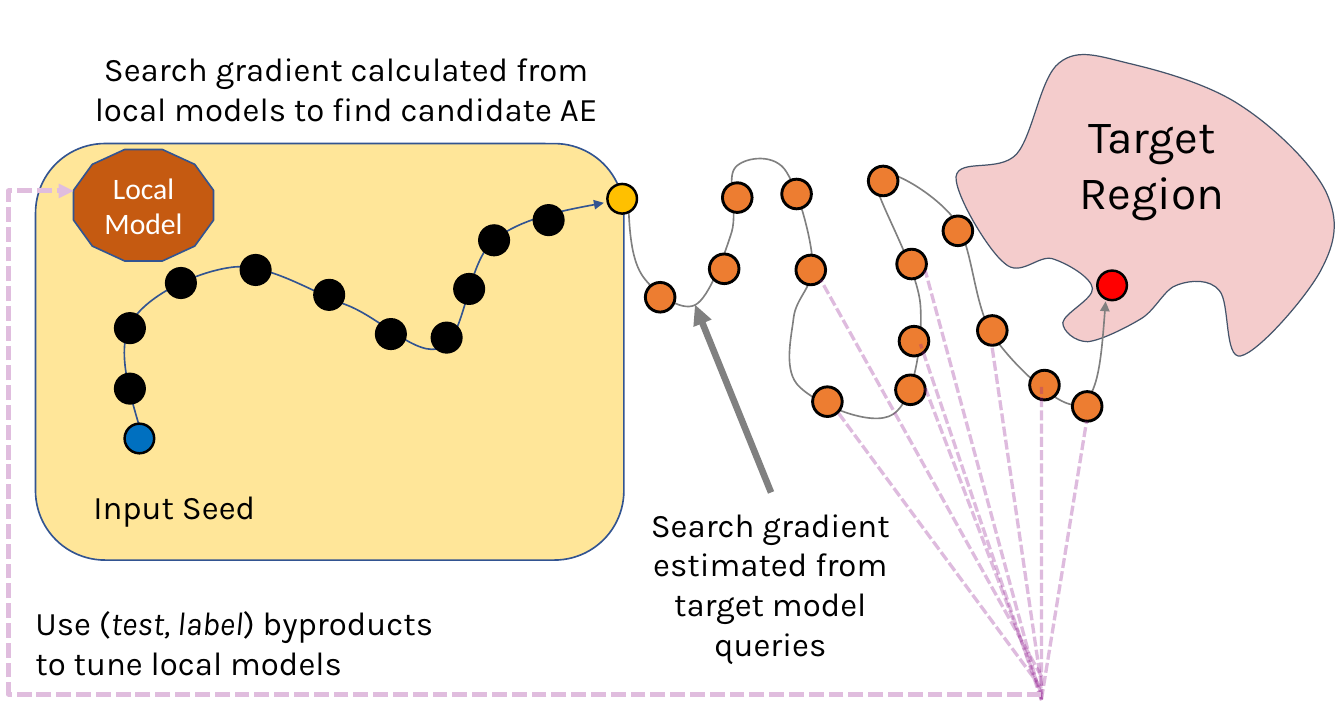
from lxml import etree
from pptx import Presentation
from pptx.dml.color import RGBColor
from pptx.enum.dml import MSO_LINE
from pptx.enum.shapes import MSO_CONNECTOR, MSO_SHAPE
from pptx.enum.text import MSO_ANCHOR, PP_ALIGN
from pptx.oxml.ns import qn
from pptx.util import Inches, Pt

STRAIGHT, ELBOW = MSO_CONNECTOR.STRAIGHT, MSO_CONNECTOR.ELBOW
OVAL, ROUNDED, DODECAGON = MSO_SHAPE.OVAL, MSO_SHAPE.ROUNDED_RECTANGLE, MSO_SHAPE.DODECAGON
LEFT, CENTER = PP_ALIGN.LEFT, PP_ALIGN.CENTER
TOP, MIDDLE = MSO_ANCHOR.TOP, MSO_ANCHOR.MIDDLE
DASH = MSO_LINE.SQUARE_DOT
COLORS = {
    "panel": "FFE699", "navy": "325491", "region": "F4CCCC", "slate": "44546A",
    "black": "000000", "white": "FFFFFF", "goal": "FF0000", "query": "ED7D31",
    "seed": "0070C0", "candidate": "FFC000", "model": "C55A11", "gray": "808080",
    "trace": "942092", "loop": "E0BDDE",
}
DOT = 0.25


def rgb(name):
    return RGBColor.from_string(COLORS[name])


def set_all(target, values):
    for name, value in values.items():
        setattr(target, name, value)


def style_line(part, color, width, arrow=False, dash=None, opacity=None):
    part.line.color.rgb = rgb(color)
    set_all(part.line, {"width": Pt(width), "dash_style": dash})
    ln = part.line._get_or_add_ln()
    if opacity:
        tint = ln.find(".//" + qn("a:srgbClr"))
        etree.SubElement(tint, qn("a:alpha"), val=str(opacity * 1000))
    if arrow:
        etree.SubElement(ln, qn("a:tailEnd"), type="triangle")


def style_fill(part, color):
    part.shadow.inherit = False
    if color:
        part.fill.solid()
        part.fill.fore_color.rgb = rgb(color)
    else:
        part.fill.background()


def add_preset(slide, box, kind, place, fill, outline, width):
    left, top, wide, high = place
    part = slide.shapes.add_shape(
        kind, Inches(box[0] + left), Inches(box[1] + top), Inches(wide), Inches(high))
    style_fill(part, fill)
    style_line(part, outline, width)
    return part


def add_dots(slide, box, corners, fill, width=1.5):
    for corner in corners:
        add_preset(slide, box, OVAL, (*corner, DOT, DOT), fill, "black", width)


def write(frame, pieces, size, font="Karla", color="black", align=CENTER,
          anchor=TOP, inset=0.1):
    set_all(frame, {
        "word_wrap": True, "vertical_anchor": anchor,
        "margin_left": Inches(0.1), "margin_right": Inches(0.1),
        "margin_top": Inches(inset), "margin_bottom": Inches(inset)})
    paragraph = frame.paragraphs[0]
    paragraph.alignment = align
    for words, italic in pieces:
        run = paragraph.add_run()
        run.text = words
        set_all(run.font, {"size": Pt(size), "name": font, "italic": italic})
        run.font.color.rgb = rgb(color)


def add_label(slide, box, place, pieces, size=20, **layout):
    left, top, wide, high = place
    label = slide.shapes.add_textbox(
        Inches(box[0] + left), Inches(box[1] + top), Inches(wide), Inches(high))
    write(label.text_frame, pieces, size, **layout)


def add_link(slide, box, start, end, kind=STRAIGHT, **look):
    ends = [Inches(origin + offset) for point in (start, end)
            for origin, offset in zip(box, point)]
    link = slide.shapes.add_connector(kind, *ends)
    style_line(link, **look)
    etree.SubElement(link._element.spPr, qn("a:effectLst"))
    return link


def add_curve(slide, box, knots, fill=None, close=False, **look):
    points = [(Inches(box[0] + x), Inches(box[1] + y)) for x, y in knots]
    builder = slide.shapes.build_freeform(*points[0])
    builder.add_line_segments(points[1:], close=close)
    curve = builder.convert_to_shape()
    steps = list(curve._element.iter(qn("a:lnTo")))
    for first in range(0, len(steps), 3):
        bezier = etree.Element(qn("a:cubicBezTo"))
        steps[first].addprevious(bezier)
        for step in steps[first:first + 3]:
            bezier.append(step[0])
            step.getparent().remove(step)
    style_fill(curve, fill)
    style_line(curve, **look)


def target_region(slide, box):
    border = [
        (1.49, 0.09), (1.23, 0.03), (1.04, -0.05), (0.88, 0.08),
        (0.72, 0.2), (0.66, 0.69), (0.52, 0.85), (0.37, 1.01), (0.03, 0.88), (0.01, 1.04),
        (0, 1.19), (0.28, 1.66), (0.42, 1.77), (0.55, 1.89), (0.7, 1.7), (0.82, 1.73),
        (0.95, 1.77), (1.15, 1.89), (1.16, 1.98), (1.17, 2.07), (0.92, 2.19), (0.91, 2.27),
        (0.91, 2.34), (1.01, 2.43), (1.12, 2.43), (1.23, 2.42), (1.45, 2.31), (1.58, 2.23),
        (1.7, 2.15), (1.77, 1.98), (1.88, 1.95), (1.99, 1.91), (2.15, 1.9), (2.23, 2),
        (2.32, 2.1), (2.27, 2.58), (2.41, 2.55), (2.56, 2.52), (2.97, 2.05), (3.09, 1.82),
        (3.21, 1.59), (3.24, 1.41), (3.13, 1.17), (3.02, 0.94), (2.69, 0.62), (2.41, 0.44),
        (2.14, 0.26), (1.74, 0.15), (1.49, 0.09)]
    add_curve(slide, box, border, "region", True, color="slate", width=0.75)
    add_label(slide, box, (0.79, 0.35, 1.74, 1.15), [("Target Region", False)], 28,
              anchor=MIDDLE)
    add_dots(slide, box, [(1.2, 1.83)], "goal")


def query_search(slide, box):
    route = [
        (0, 0.48), (0.01, 0.69), (0.03, 0.9), (0.12, 1.03),
        (0.22, 1.17), (0.44, 1.33), (0.56, 1.27), (0.68, 1.21), (0.81, 0.84), (0.87, 0.65),
        (0.92, 0.46), (0.82, 0.2), (0.9, 0.11), (0.97, 0.03), (1.2, -0.01), (1.31, 0.12),
        (1.42, 0.26), (1.54, 0.7), (1.55, 0.91), (1.57, 1.11), (1.41, 1.2), (1.39, 1.38),
        (1.37, 1.55), (1.3, 1.83), (1.44, 1.96), (1.58, 2.1), (2.05, 2.31), (2.23, 2.19),
        (2.4, 2.08), (2.48, 1.61), (2.46, 1.28), (2.44, 0.94), (2.04, 0.31), (2.08, 0.19),
        (2.13, 0.06), (2.57, 0.32), (2.74, 0.54), (2.91, 0.77), (2.9, 1.28), (3.08, 1.54),
        (3.26, 1.8), (3.65, 2.16), (3.8, 2.11), (3.96, 2.06), (3.99, 1.65), (4.02, 1.24)]
    queries = [
        (0.14, 1.08), (0.68, 0.84), (0.79, 0.24), (1.29, 0.21), (1.41, 0.85),
        (1.55, 1.96), (2.25, 1.86), (2.28, 1.45), (2.26, 0.8), (2.02, 0.1),
        (2.65, 0.52), (2.94, 1.36), (3.38, 1.82), (3.74, 2)]
    add_curve(slide, box, route, color="gray", width=1, arrow=True)
    add_dots(slide, box, queries, "query", 1.75)
    add_label(slide, box, (0.01, 2.85, 2.37, 1.52),
              [("Search gradient estimated from target model queries", False)])
    add_link(slide, box, (1.2, 2.85), (0.56, 1.27), color="gray", width=4, arrow=True)


def local_search(slide, box):
    route = [
        (0.88, 2.4), (0.78, 2.06), (0.68, 1.72), (0.81, 1.5),
        (0.95, 1.27), (1.38, 1.07), (1.68, 1.04), (1.98, 1.02), (2.33, 1.25), (2.62, 1.36),
        (2.91, 1.47), (3.22, 1.81), (3.42, 1.72), (3.63, 1.63), (3.63, 1.02), (3.86, 0.82),
        (4.09, 0.62), (4.79, 0.5), (4.79, 0.5)]
    steps = [
        (0.67, 1.94), (0.67, 1.43), (1.1, 1.05), (1.73, 0.94), (2.35, 1.15),
        (2.87, 1.48), (3.34, 1.51), (3.53, 1.1), (3.74, 0.69), (4.2, 0.52)]
    add_preset(slide, box, ROUNDED, (0, 0, 4.96, 3.51), "panel", "navy", 1)
    add_curve(slide, box, route, color="navy", width=1, arrow=True)
    add_dots(slide, box, steps, "black")
    add_dots(slide, box, [(0.75, 2.36)], "seed")
    add_dots(slide, box, [(4.82, 0.34)], "candidate")
    add_label(slide, box, (0.01, 2.79, 2.32, 0.86), [("Input Seed", False)])
    add_label(slide, box, (0.21, -0.9, 4.82, 0.8),
              [("Search gradient calculated from local models to find candidate AE", False)])
    model = add_preset(slide, box, DODECAGON, (0.32, 0.05, 1.18, 0.94), "model", "navy", 1)
    write(model.text_frame, [("Local Model", False)], 18, "Calibri", "white",
          anchor=MIDDLE, inset=0.05)


def feedback(slide, box):
    hub = 8.71
    traces = [
        (4.09, (6.85, 0.75)), (4.17, (8.29, 1.29)), (4.24, (7.73, 1.66)),
        (4.28, (8.71, 1.65)), (4.29, (7.69, 1.29)), (4.19, (6.99, 1.86)),
        (4.29, (7.73, 0.67)), (4.28, (9.09, 1.94))]
    for height, query in traces:
        add_link(slide, box, (hub, height), query, color="trace", width=2, dash=DASH,
                 opacity=30)
    add_label(slide, box, (0.13, 3.42, 3.76, 0.77),
              [("Use (", False), ("test, label", True),
               (") byproducts to tune local models", False)], align=LEFT, inset=0.05)
    loop = add_link(slide, box, (hub, 4.24), (0.55, 0), ELBOW, color="loop", width=3,
                    dash=DASH, arrow=True)
    bend = loop._element.spPr.find(qn("a:prstGeom")).find(qn("a:avLst"))
    etree.SubElement(bend, qn("a:gd"), name="adj1", fmla="val 106700")


deck = Presentation()
set_all(deck, {"slide_width": Inches(11.33), "slide_height": Inches(6)})
search_slide = deck.slides.add_slide(deck.slide_layouts[6])
target_region(search_slide, (8.05, 0.45))
query_search(search_slide, (5.3, 1.3))
local_search(search_slide, (0.3, 1.21))
feedback(search_slide, (0.07, 1.61))
deck.save("out.pptx")
